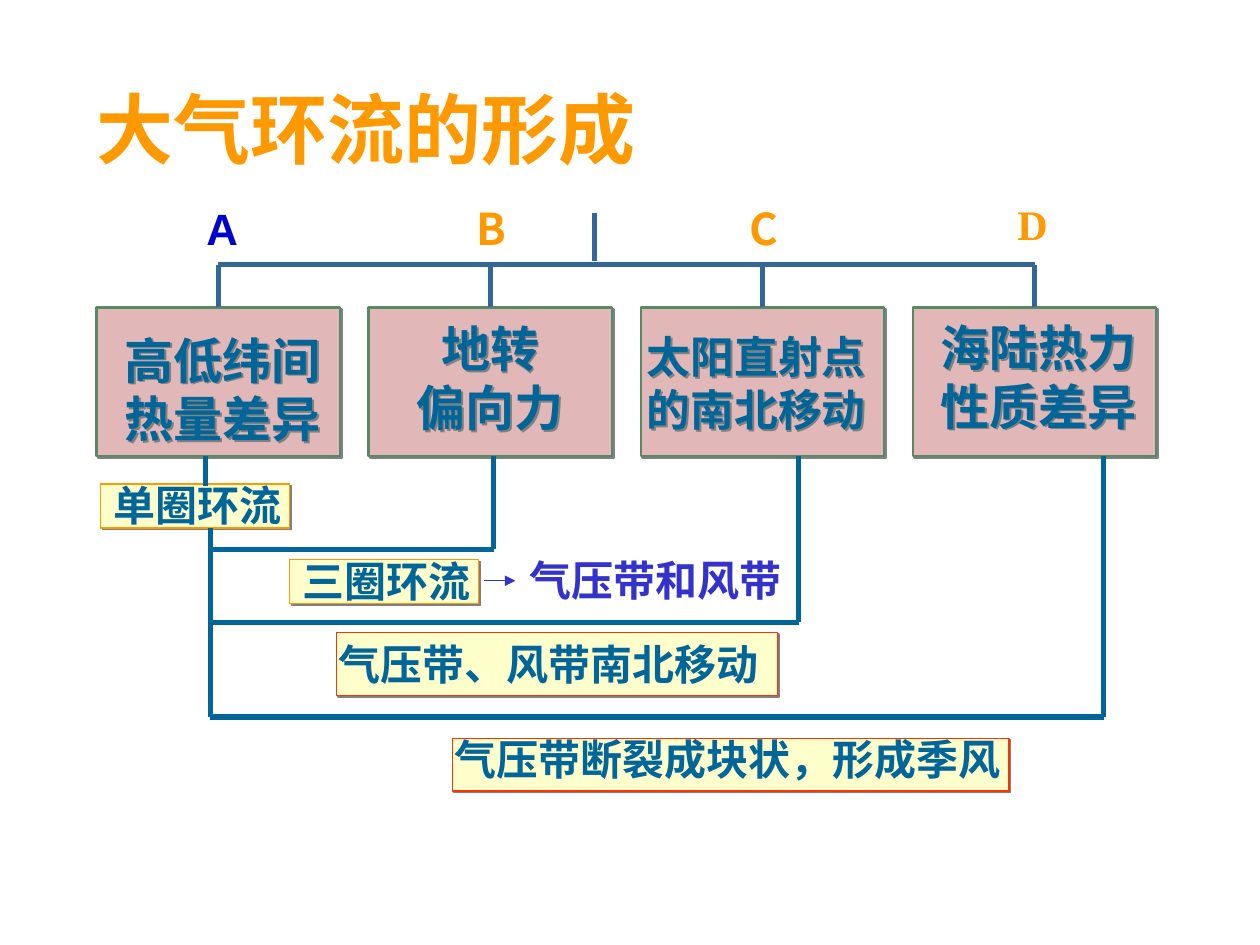
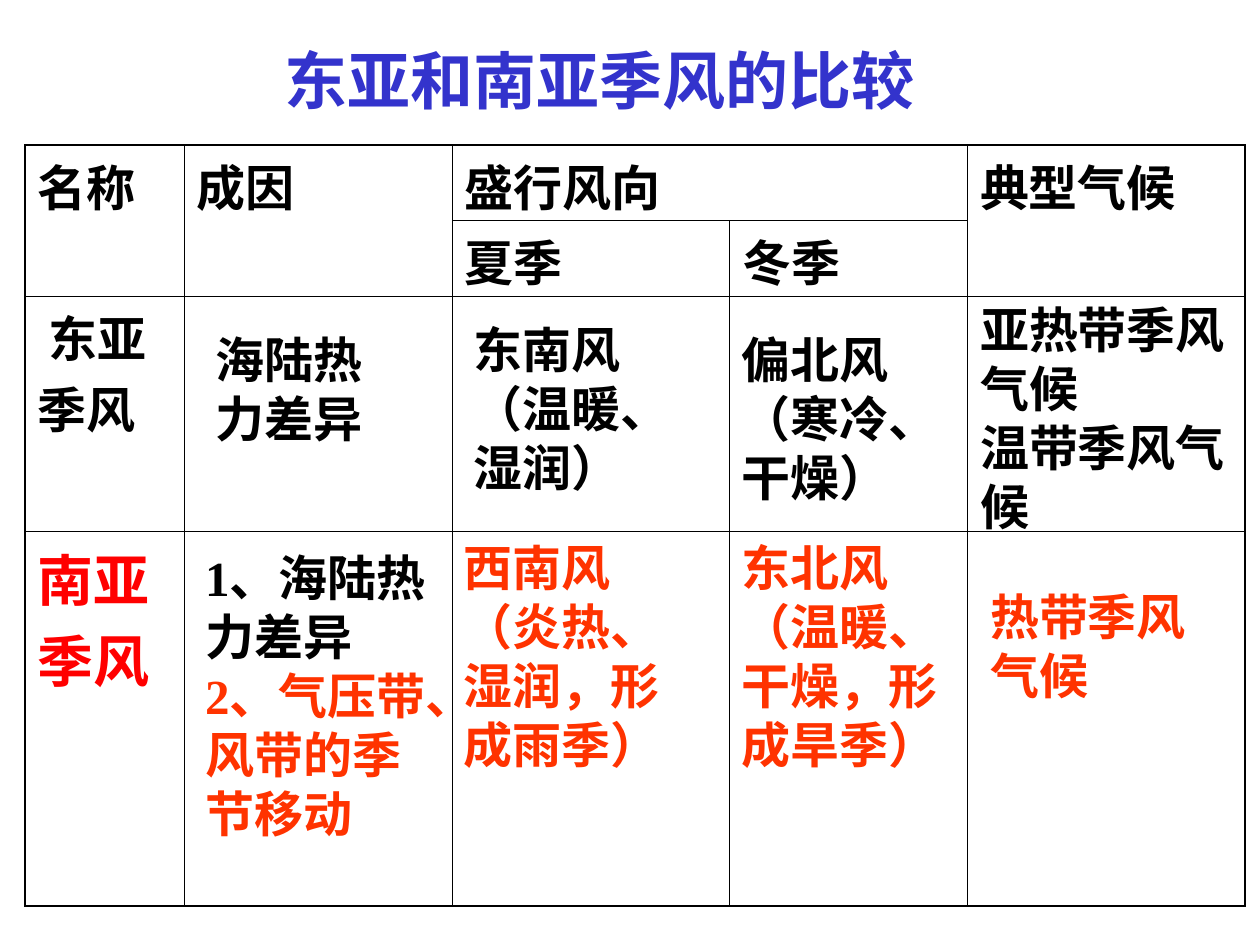
"""Build two slides on atmospheric circulation and the Asian monsoons."""
from lxml import etree
from pptx import Presentation
from pptx.dml.color import RGBColor
from pptx.enum.shapes import MSO_CONNECTOR, MSO_SHAPE
from pptx.enum.text import MSO_ANCHOR, MSO_AUTO_SIZE, PP_ALIGN
from pptx.oxml.ns import qn
from pptx.util import Pt

LEFT, MID = PP_ALIGN.LEFT, PP_ALIGN.CENTER
TOP, FIXED = MSO_ANCHOR.TOP, MSO_AUTO_SIZE.NONE
RECT, LINE = MSO_SHAPE.RECTANGLE, MSO_CONNECTOR.STRAIGHT
HAN, SANS, SERIF = "Noto Sans CJK SC", "Arial", "Times New Roman"
HUE = {
    "orange": "FF9900", "navy": "0000CC", "blue": "3333CC", "teal": "006699",
    "steel": "336699", "pink": "E1B7B7", "green": "578963", "cream": "FFFFCC",
    "red": "FF3300", "pure": "FF0000", "black": "000000", "gray": "808080",
}

CAUSES = [
    ("高低纬间\n热量差异", 28, HAN, 2.5, 13),
    ("地转\n偏向力", 28, HAN, 0, 6.5),
    ("太阳直射点\n的南北移动", 25, HAN, -3.6, 13),
    ("海陆热力\n性质差异", 28, SERIF, 2.2, 5.8),
]
MARKS = [
    ("A", 25, SANS, "navy", 127, 115.5), ("B", 25, HAN, "orange", 280.8, 115.5),
    ("C", 25, HAN, "orange", 436.3, 115.5), ("D", 24, SERIF, "orange", 590, 113.5),
]
RESULTS = [
    ("单圈环流", 57.6, 276.5, 108, 25.2, "orange", 0, -5.8),
    ("三圈环流", 165.6, 319.7, 108, 25.2, "orange", 0, -5.8),
    ("气压带、风带南北移动", 192.2, 361.4, 252, 36, "red", -5.8, 0),
    ("气压带断裂成块状，形成季风", 258.5, 421.9, 318.2, 30.2, "red", -5.8, -6.5),
]
LINKS = [(282.2, 313.9), (456.5, 355.7), (630.7, 409.7)]
SPINE = 120.2

COLS = [90.7, 153.4, 158.4, 136, 158.4]
ROWS = [43.2, 43.2, 134.6, 213.8]
CELLS = [
    (0, 0, 1, 0, "名称", 28, "black"), (0, 1, 1, 1, "成因", 28, "black"),
    (0, 2, 0, 3, "盛行风向", 28, "black"), (0, 4, 1, 4, "典型气候", 28, "black"),
    (1, 2, 1, 2, "夏季", 28, "black"), (1, 3, 1, 3, "冬季", 28, "black"),
    (2, 0, 2, 0, " 东亚季风", 28, "black"), (3, 0, 3, 0, "南亚季风", 32, "pure"),
]
NOTES = [
    ("海陆热力差异", 115.9, 185, 118.8, 74.9, SANS, ["black"]),
    ("1、海陆热力差异\v2、气压带、风带的季节移动", 110.2, 309.6, 141.8, 208.8,
     SERIF, ["black", "red"]),
    ("东南风（温暖、湿润）", 263.5, 179.3, 153.4, 108, SANS, ["black"]),
    ("偏北风（寒冷、干燥）", 416.9, 185, 130.3, 108, SANS, ["black"]),
    ("西南风（炎热、湿润，形成雨季）", 257.8, 303.8, 147.6, 141.8, SANS, ["red"]),
    ("东北风（温暖、干燥，形成旱季）", 416.9, 303.8, 136, 141.8, SANS, ["red"]),
    ("亚热带季风气候\n温带季风气候", 553, 167.8, 155.5, 141.8, SANS, ["black"]),
    ("热带季风气候", 558.7, 331.9, 147.6, 74.9, SANS, ["red"]),
]


def rgb(name):
    return RGBColor.from_string(HUE[name])


def add(node, tag, **keys):
    return etree.SubElement(node, qn(tag), **keys)


def shade(shape):
    """Add a small solid shadow to a shape."""
    fx = add(shape._element.spPr, "a:effectLst")
    cast = add(fx, "a:outerShdw", dist="17780", dir="2700000", algn="tl", rotWithShape="0")
    add(cast, "a:srgbClr", val=HUE["gray"])


def style(run, size, face, hue):
    """Format one run with its Latin and East Asian fonts."""
    font = run.font
    font.size, font.bold = Pt(size), True
    font.color.rgb = rgb(hue)
    font.name = face
    add(run._r.get_or_add_rPr(), "a:ea", typeface=HAN)


def put(frame, text, size, face, hues, align=LEFT, wrap=True):
    """Set text with a fixed line height."""
    frame.text = text
    frame.word_wrap, frame.auto_size, frame.vertical_anchor = wrap, FIXED, TOP
    frame.margin_left = frame.margin_right = Pt(7.2)
    frame.margin_top = frame.margin_bottom = Pt(3.6)
    for para in frame.paragraphs:
        para.alignment = align
        para.line_spacing = Pt(size * 1.2)
        para.space_before = Pt(0)
        for i, run in enumerate(para.runs):
            style(run, size, face, hues[min(i, len(hues) - 1)])


def head(deck, text, area, size, face, hue):
    """Add a slide with a placed title."""
    slide = deck.slides.add_slide(deck.slide_layouts[5])
    title = slide.shapes.title
    title.left, title.top, title.width, title.height = map(Pt, area)
    put(title.text_frame, text, size, face, [hue])
    return slide


def label(slide, text, area, *args, **keys):
    shape = slide.shapes.add_textbox(*map(Pt, area))
    put(shape.text_frame, text, *args, **keys)
    return shape


def box(slide, area, fill, edge, wide):
    """Add a filled rectangle with a shadow."""
    shape = slide.shapes.add_shape(RECT, *map(Pt, area))
    shape.fill.solid()
    shape.fill.fore_color.rgb = rgb(fill)
    shape.line.color.rgb = rgb(edge)
    shape.line.width = Pt(wide)
    shade(shape)
    return shape


def line(slide, ends, hue, wide=3):
    """Add a straight line without a shadow."""
    link = slide.shapes.add_connector(LINE, *map(Pt, ends))
    link.line.color.rgb = rgb(hue)
    link.line.width = Pt(wide)
    add(link._element.spPr, "a:effectLst")
    return link


def causes(deck):
    """Draw the causes and what they lead to."""
    slide = head(deck, "大气环流的形成", (48.2, 43.2, 400, 60.5), 44, HAN, "orange")
    first, step, wide, top, tall, bar = 55.2, 155.5, 139, 175.7, 85, 151.2
    mids = [first + step * i + wide / 2 for i in range(len(CAUSES))]
    for mid, (text, size, face, dx, dy) in zip(mids, CAUSES):
        shape = box(slide, (mid - wide / 2, top, wide, tall), "pink", "green", 1.39)
        area = (mid + dx - wide / 2, top + dy - 3.6, wide, 75)
        shade(label(slide, text, area, size, face, ["teal"], MID, wrap=False))
        line(slide, (mid, bar, mid, top), "steel").end_connect(shape, 0)
    line(slide, (mids[0], bar, mids[-1], bar), "steel")
    line(slide, (339.8, 121.7, 339.8, 149), "steel")
    for text, size, face, hue, mid, y in MARKS:
        label(slide, text, (mid - 16, y - 3.6, 32, 36), size, face, [hue], MID, wrap=False)

    for text, x, y, w, h, edge, dx, dy in RESULTS:
        box(slide, (x, y, w, h), "cream", edge, 0.75)
        label(slide, text, (x + dx, y + dy, w + 8, 36), 24, SERIF, ["teal"], wrap=False)
    low = top + tall
    line(slide, (117.4, low, 117.4, 278), "teal")
    line(slide, (SPINE, 301.7, SPINE, LINKS[-1][1]), "teal")
    for x, y in LINKS:
        line(slide, (x, low, x, y), "teal")
        line(slide, (SPINE, y, x, y), "teal")
    arrow = line(slide, (276.5, 331.9, 294.5, 331.9), "blue", 0.75)
    add(arrow.line._get_or_add_ln(), "a:tailEnd", type="triangle")
    label(slide, "气压带和风带", (295.2, 313.2, 158.4, 36), 24, SERIF, ["blue"], MID)


def frame(cell, row, col):
    """Give a cell no fill and borders, thicker at the table's rim."""
    props = cell._tc.get_or_add_tcPr()
    rims = {"L": col == 0, "R": col == len(COLS) - 1, "T": row == 0, "B": row == len(ROWS) - 1}
    for side, rim in rims.items():
        edge = add(props, f"a:ln{side}", w=str(Pt(1.08 if rim else 0.45)))
        add(add(edge, "a:solidFill"), "a:srgbClr", val=HUE["black"])
    cell.fill.background()


def monsoons(deck):
    """Draw the table that compares the two monsoons."""
    slide = head(deck, "东亚和南亚季风的比较", (155.5, 20.2, 414, 50.4), 36, SANS, "blue")
    area = (14.4, 82.8, sum(COLS), sum(ROWS))
    table = slide.shapes.add_table(len(ROWS), len(COLS), *map(Pt, area)).table
    table.first_row = table.horz_banding = False
    for i, wide in enumerate(COLS):
        table.columns[i].width = Pt(wide)
    for i, tall in enumerate(ROWS):
        table.rows[i].height = Pt(tall)
        for j in range(len(COLS)):
            frame(table.cell(i, j), i, j)
    for row, col, last, end, text, size, hue in CELLS:
        cell = table.cell(row, col)
        if (row, col) != (last, end):
            cell.merge(table.cell(last, end))
        cell.text_frame.text = text
        cell.margin_top, cell.margin_bottom = Pt(2.6), 0
        style(cell.text_frame.paragraphs[0].runs[0], size, SERIF, hue)
    for text, x, y, w, h, face, hues in NOTES:
        label(slide, text, (x, y, w, h), 28, face, hues)


def main():
    deck = Presentation()
    deck.slide_width, deck.slide_height = Pt(720), Pt(540)
    causes(deck)
    monsoons(deck)
    deck.save("out.pptx")


if __name__ == "__main__":
    main()
